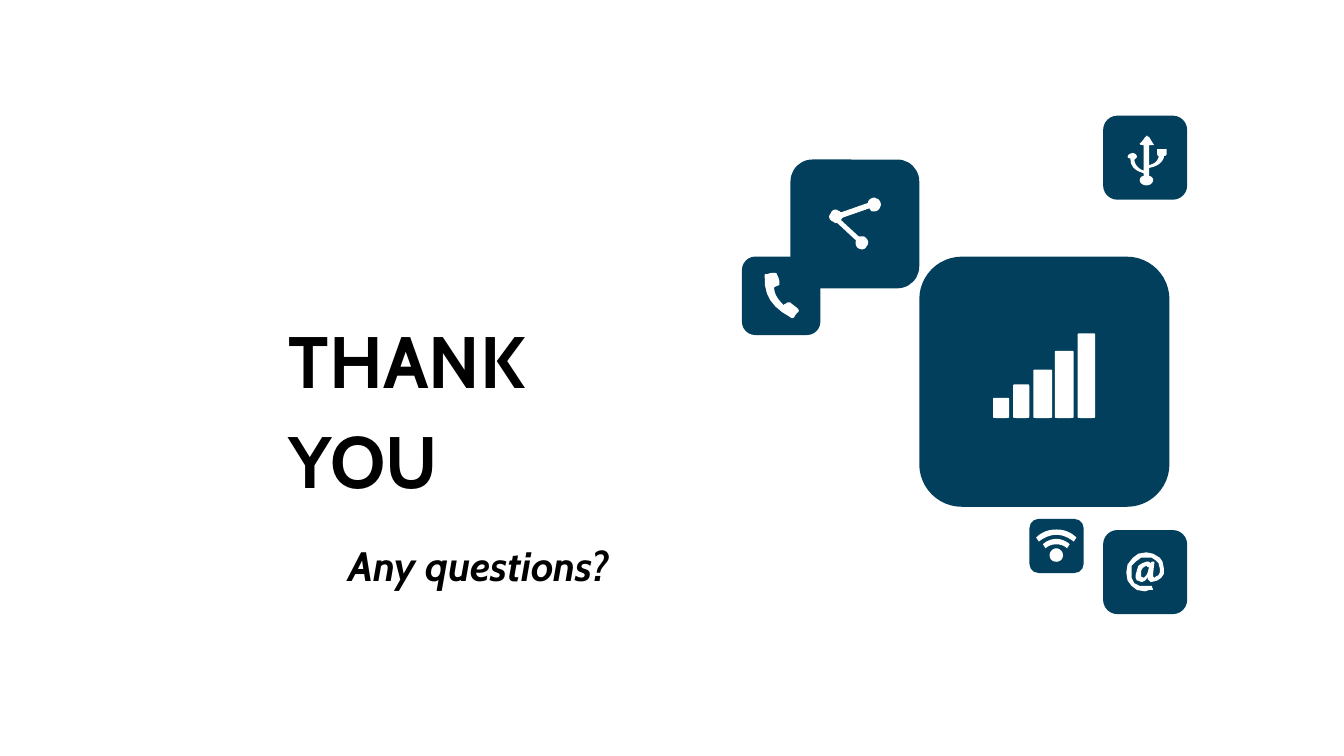
"""Build a closing slide with a thank-you message and a cluster of icon tiles."""

from dataclasses import dataclass

import pptx
import pptx.dml.color
import pptx.enum.shapes
import pptx.enum.text
import pptx.oxml.ns
import pptx.shapes.autoshape
import pptx.slide
import pptx.text.text
import pptx.util
from lxml import etree

COLORS = {"tile": "013F5D", "icon": "FFFFFF", "text": "000000"}
FONT = "Cabin"
GRID = 0.72
CURVE_STEPS = 6
BAR_BASE = 63

Point = tuple[float, float]


@dataclass(frozen=True)
class Tile:
    """A rounded square, in points."""

    left: float
    top: float
    size: float


@dataclass(frozen=True)
class Bar:
    """One signal bar, in grid units."""

    left: float
    top: float
    width: float


@dataclass(frozen=True)
class Icon:
    """Closed contours on a grid whose origin is given in points."""

    left: float
    top: float
    contours: tuple[str, ...]


@dataclass(frozen=True)
class Line:
    """A paragraph of the message."""

    text: str
    size: float
    space_before: float
    alignment: pptx.enum.text.PP_ALIGN
    italic: bool


def bar_contour(bar: Bar) -> str:
    """Return the rounded outline of a signal bar."""
    left, top, right, base = bar.left, bar.top, bar.left + bar.width, BAR_BASE
    return (
        f"M {left + 2} {top} L {right - 2} {top} C {right} {top} {right} {top} {right} {top + 2} "
        f"L {right} {base - 2} C {right} {base} {right} {base} {right - 2} {base} "
        f"L {left + 2} {base} C {left} {base} {left} {base} {left} {base - 2} "
        f"L {left} {top + 2} C {left} {top} {left} {top} {left + 2} {top}"
    )


BARS = (Bar(0, 48, 12), Bar(15, 38, 12), Bar(30, 27, 14), Bar(46, 13, 14), Bar(63, 0, 13))

TILES = (
    Tile(492.5, 137.5, 134),
    Tile(423.5, 85.5, 69),
    Tile(397.5, 137.5, 42),
    Tile(551.5, 278, 29),
    Tile(591, 284, 45),
    Tile(591, 62, 45),
)

SIGNAL = Icon(532, 178.6, tuple(bar_contour(bar) for bar in BARS))
SHARE = Icon(444.24, 105.84, (
    "M 34 0 C 34 0 35 1 36 1 C 38 2 39 5 38 7 C 37 10 34 11 31 10 C 31 9 30 9 30 8 "
    "L 10 15 C 10 15 9 16 9 16 L 9 17 L 22 29 C 24 29 25 29 26 29 C 29 31 30 34 28 36 "
    "C 27 39 24 39 22 38 C 20 37 19 34 20 32 L 6 19 C 5 19 4 19 3 18 C 0 17 -1 14 1 12 "
    "C 2 9 5 8 7 10 C 8 10 8 11 9 11 L 29 4 C 29 4 29 3 29 3 C 30 1 32 0 34 0",
))
USB = Icon(604.08, 72.72, (
    "M 14 0 C 15 0 15 1 16 1 L 19 6 C 20 7 20 7 18 7 L 16 7 L 16 22 C 19 21 22 20 23 16 "
    "L 23 15 C 22 15 22 14 22 14 L 22 10 L 29 10 L 29 14 C 29 14 28 15 28 15 L 27 15 "
    "L 27 16 C 26 20 22 23 16 24 L 16 30 C 18 30 19 32 19 33 C 19 35 17 37 14 37 "
    "C 11 37 9 35 9 33 C 9 32 10 30 12 30 L 12 28 C 10 27 2 26 2 17 C 1 17 0 16 0 16 "
    "C 0 14 2 13 4 13 C 5 13 7 14 7 16 C 7 16 6 17 5 18 C 5 21 8 25 12 26 L 12 7 L 11 7 "
    "C 9 7 9 6 9 6 C 10 5 12 3 13 1 C 14 1 14 0 14 0",
))
PHONE = Icon(409.68, 146.16, (
    "M 8 0 C 9 0 9 1 9 1 C 10 3 11 5 11 7 C 11 8 11 9 11 9 C 9 10 8 10 7 11 "
    "C 7 15 9 19 14 24 C 15 23 16 23 17 22 C 18 22 19 22 19 22 C 21 24 23 25 25 27 "
    "C 25 28 26 28 25 29 C 24 30 23 31 22 33 C 21 34 20 34 19 33 C 6 26 -1 17 0 2 "
    "C 0 1 0 1 2 1 C 4 0 6 0 8 0",
))
AT_SIGN = Icon(603.36, 295.92, (
    "M 19 7 L 21 7 L 20 16 L 20 18 L 21 19 L 22 18 L 24 17 L 25 15 L 25 12 L 24 8 L 22 6 "
    "L 19 4 L 15 4 L 11 4 L 7 7 L 4 10 L 4 15 L 4 19 L 6 23 L 10 25 L 15 25 L 19 25 L 20 28 "
    "L 17 28 L 14 29 L 8 28 L 4 25 L 1 21 L 0 15 L 1 9 L 5 4 L 9 1 L 15 0 L 20 1 L 25 4 "
    "L 27 7 L 28 12 L 28 16 L 26 19 L 23 21 L 19 22 L 18 22 L 17 21 L 16 20 L 16 18 L 15 20 "
    "L 14 21 L 12 22 L 11 22 L 9 21 L 8 21 L 7 19 L 7 17 L 8 13 L 9 10 L 12 8 L 15 7 L 17 7 L 18 8",
    "M 17 11 L 16 11 L 15 10 L 13 11 L 12 12 L 11 14 L 11 18 L 13 19 L 14 18 L 15 17 L 16 15",
))
WIFI = Icon(555.12, 283.68, (
    "M 15 14 C 18 14 20 17 20 19 C 20 22 18 24 15 24 C 12 24 10 22 10 19 C 10 17 12 14 15 14",
    "M 15 7 C 19 7 23 9 25 11 L 23 14 C 21 12 18 11 15 11 C 12 11 9 12 7 14 L 5 11 C 7 9 11 7 15 7",
    "M 15 0 C 21 0 26 2 30 6 L 28 9 C 24 6 20 4 15 4 C 10 4 6 6 2 9 L 0 6 C 4 2 9 0 15 0",
))
ICONS = (SIGNAL, SHARE, USB, PHONE, AT_SIGN, WIFI)

MESSAGE = (
    Line("THANK YOU", 39, 0, pptx.enum.text.PP_ALIGN.LEFT, False),
    Line("Any questions?", 22, 16, pptx.enum.text.PP_ALIGN.CENTER, True),
)


def contour_points(contour: str) -> list[Point]:
    """Turn move, line and cubic curve commands into points."""
    points: list[Point] = []
    tokens = iter(contour.split())
    for command in tokens:
        count = 3 if command == "C" else 1
        targets = [(float(next(tokens)), float(next(tokens))) for _ in range(count)]
        if command != "C":
            points.extend(targets)
            continue
        controls = [points[-1], *targets]
        for step in range(1, CURVE_STEPS + 1):
            t = step / CURVE_STEPS
            weights = ((1 - t) ** 3, 3 * t * (1 - t) ** 2, 3 * t * t * (1 - t), t**3)
            x, y = (sum(w * c[axis] for w, c in zip(weights, controls)) for axis in (0, 1))
            points.append((x, y))
    return points


def paint(shape: pptx.shapes.autoshape.Shape, color: str) -> None:
    """Give a shape a flat fill without line or shadow."""
    shape.shadow.inherit = False
    shape.fill.solid()
    shape.fill.fore_color.rgb = pptx.dml.color.RGBColor.from_string(COLORS[color])
    shape.line.fill.background()


def draw_tile(slide: pptx.slide.Slide, tile: Tile) -> None:
    """Draw a rounded square."""
    bounds = (pptx.util.Pt(value) for value in (tile.left, tile.top, tile.size, tile.size))
    shape = slide.shapes.add_shape(pptx.enum.shapes.MSO_SHAPE.ROUNDED_RECTANGLE, *bounds)
    shape.adjustments[0] = 0.17
    paint(shape, "tile")


def draw_icon(slide: pptx.slide.Slide, icon: Icon) -> None:
    """Draw all contours of an icon as one freeform."""
    outlines = [
        [(pptx.util.Pt(icon.left + x * GRID), pptx.util.Pt(icon.top + y * GRID))
         for x, y in contour_points(contour)]
        for contour in icon.contours
    ]
    builder = slide.shapes.build_freeform(*outlines[0][0])
    for index, outline in enumerate(outlines):
        if index:
            builder.move_to(*outline[0])
        builder.add_line_segments(outline[1:], close=True)
    paint(builder.convert_to_shape(), "icon")


def write_line(paragraph: pptx.text.text._Paragraph, line: Line) -> None:
    """Write one unbulleted paragraph."""
    paragraph.text = line.text
    paragraph.alignment = line.alignment
    paragraph.line_spacing = 1.15
    paragraph.space_before = pptx.util.Pt(line.space_before)
    font = paragraph.font
    font.name, font.size = FONT, pptx.util.Pt(line.size)
    font.bold, font.italic = True, line.italic
    font.color.rgb = pptx.dml.color.RGBColor.from_string(COLORS["text"])
    properties = paragraph._p.get_or_add_pPr()
    properties.set("marL", "0")
    properties.set("indent", "0")
    bullet = etree.Element(pptx.oxml.ns.qn("a:buNone"))
    properties.find(pptx.oxml.ns.qn("a:defRPr")).addprevious(bullet)


def write_message(slide: pptx.slide.Slide) -> None:
    """Place the message in the body placeholder and drop the empty title."""
    title = slide.shapes.title
    title._element.getparent().remove(title._element)
    body = slide.placeholders[1]
    body.left, body.top, body.width, body.height = map(pptx.util.Pt, (147.6, 154.8, 218, 134))
    frame = body.text_frame
    frame.word_wrap = True
    frame.auto_size = pptx.enum.text.MSO_AUTO_SIZE.NONE
    frame.vertical_anchor = pptx.enum.text.MSO_ANCHOR.TOP
    frame.margin_left = frame.margin_right = pptx.util.Pt(7.2)
    frame.margin_top = frame.margin_bottom = pptx.util.Pt(7.2)
    for index, line in enumerate(MESSAGE):
        write_line(frame.add_paragraph() if index else frame.paragraphs[0], line)


def main() -> None:
    """Build and save the presentation."""
    presentation = pptx.Presentation()
    presentation.slide_width = pptx.util.Pt(720)
    presentation.slide_height = pptx.util.Pt(405)
    slide = presentation.slides.add_slide(presentation.slide_layouts[1])
    write_message(slide)
    for tile in TILES:
        draw_tile(slide, tile)
    for icon in ICONS:
        draw_icon(slide, icon)
    presentation.save("out.pptx")


if __name__ == "__main__":
    main()
